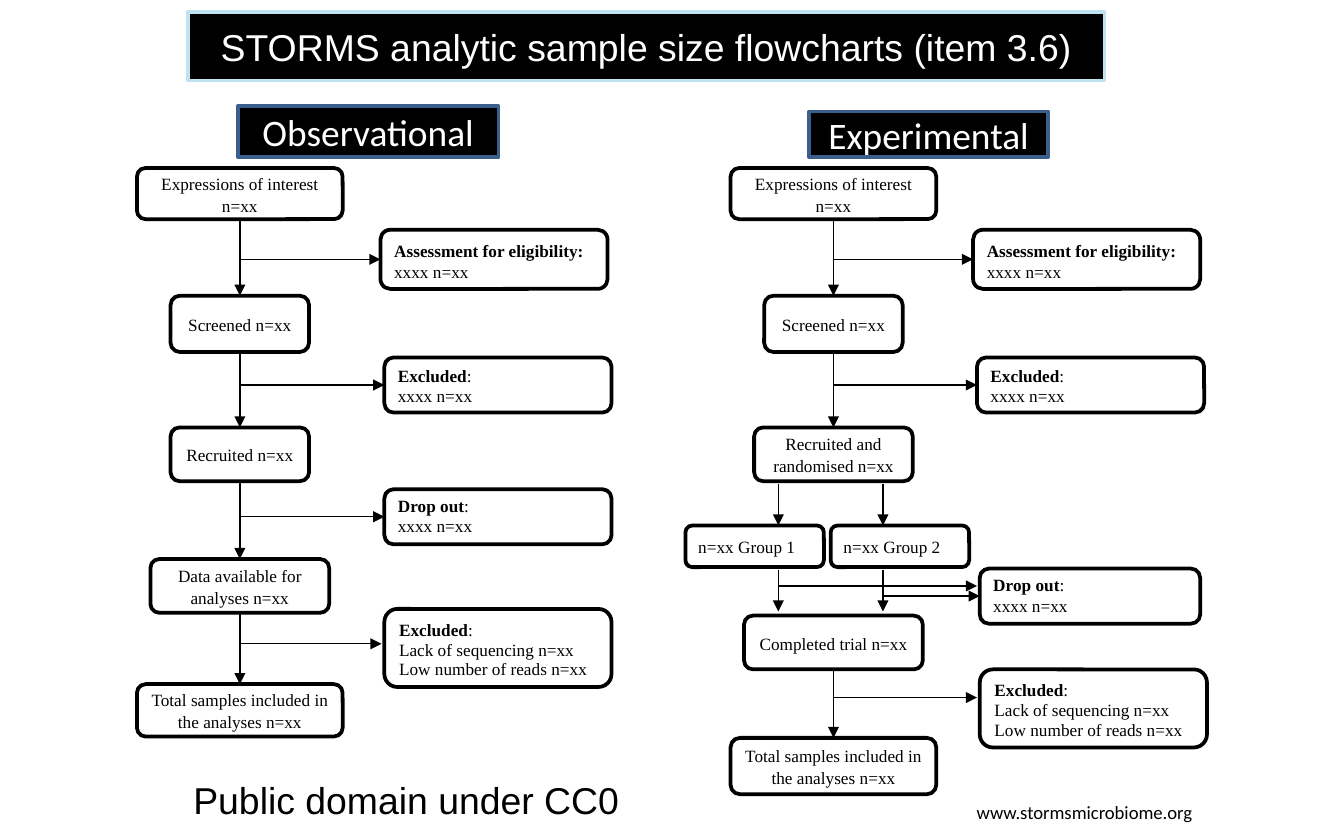
from dataclasses import dataclass
from typing import Optional

from lxml import etree
from pptx import Presentation
from pptx.dml.color import RGBColor
from pptx.enum.shapes import MSO_CONNECTOR, MSO_SHAPE
from pptx.enum.text import MSO_ANCHOR, MSO_AUTO_SIZE, PP_ALIGN
from pptx.oxml.ns import qn
from pptx.util import Pt

ROUNDED = MSO_SHAPE.FLOWCHART_ALTERNATE_PROCESS
RECTANGLE = MSO_SHAPE.RECTANGLE
STRAIGHT = MSO_CONNECTOR.STRAIGHT
MIDDLE, BOTTOM = MSO_ANCHOR.MIDDLE, MSO_ANCHOR.BOTTOM
LEFT, CENTER = PP_ALIGN.LEFT, PP_ALIGN.CENTER
SITE_TOP, SITE_LEFT, SITE_BOTTOM = 0, 1, 2


@dataclass(frozen=True)
class Theme:
    black: RGBColor = RGBColor(0x00, 0x00, 0x00)
    white: RGBColor = RGBColor(0xFF, 0xFF, 0xFF)
    title_edge: RGBColor = RGBColor(0xC1, 0xE2, 0xF1)
    heading_edge: RGBColor = RGBColor(0x3A, 0x5F, 0x8C)
    title_font: str = "Arial"
    heading_font: str = "Calibri"
    box_font: str = "Times New Roman"
    large: float = 20
    small: float = 10
    box_size: float = 9.2
    edge_width: float = 2
    arrow_width: float = 0.75
    inset_x: float = 5.8
    inset_y: float = 2.9


THEME = Theme()


@dataclass(frozen=True)
class Step:
    text: str
    top: float
    width: float
    height: float


@dataclass(frozen=True)
class Note:
    title: str
    mark: str
    lines: tuple
    left: float
    top: float
    width: float
    height: float
    spacings: tuple = (0.5, 0.5, 0.5)
    gap: float = 5
    branch_y: Optional[float] = None  # None joins the middle of the left side


def add_span(para, text: str, font: str, size: float, color, bold: bool = False) -> None:
    span = para.add_run()
    span.text = text
    span.font.name, span.font.size = font, Pt(size)
    span.font.color.rgb, span.font.bold = color, bold


def paint(box, fill, edge) -> None:
    box.fill.solid()
    box.fill.fore_color.rgb = fill
    box.line.color.rgb = edge
    box.line.width = Pt(THEME.edge_width)


def add_box(page, kind, left: float, top: float, width: float, height: float,
            fill, edge, anchor=MIDDLE):
    box = page.shapes.add_shape(kind, Pt(left), Pt(top), Pt(width), Pt(height))
    box.shadow.inherit = False
    paint(box, fill, edge)
    box.text_frame.word_wrap = True
    box.text_frame.vertical_anchor = anchor
    return box


def add_flow_box(page, left: float, top: float, width: float, height: float, anchor=MIDDLE):
    box = add_box(page, ROUNDED, left, top, width, height, THEME.white, THEME.black, anchor)
    frame = box.text_frame
    frame.margin_left = frame.margin_right = Pt(THEME.inset_x)
    frame.margin_top = frame.margin_bottom = Pt(THEME.inset_y)
    return box


def add_step(page, step: Step, center: float, align=CENTER):
    box = add_flow_box(page, center - step.width / 2, step.top, step.width, step.height)
    para = box.text_frame.paragraphs[0]
    para.alignment, para.line_spacing = align, 1.07
    add_span(para, step.text, THEME.box_font, THEME.box_size, THEME.black)
    return box


def add_arrow(page, x1: float, y1: float, x2: float, y2: float):
    arrow = page.shapes.add_connector(STRAIGHT, Pt(x1), Pt(y1), Pt(x2), Pt(y2))
    arrow.line.color.rgb = THEME.black
    arrow.line.width = Pt(THEME.arrow_width)
    etree.SubElement(arrow.line._get_or_add_ln(), qn("a:tailEnd"), type="triangle")
    etree.SubElement(arrow._element.spPr, qn("a:effectLst"))
    return arrow


def add_note(page, note: Note, spine: float) -> None:
    box = add_flow_box(page, note.left, note.top, note.width, note.height, BOTTOM)
    frame = box.text_frame
    for index, text in enumerate((note.title,) + note.lines):
        para = frame.add_paragraph() if index else frame.paragraphs[0]
        para.alignment, para.line_spacing = LEFT, note.spacings[index]
        para.space_before = Pt(note.gap if index else 0)
        add_span(para, text, THEME.box_font, THEME.box_size, THEME.black, index == 0)
        if index == 0 and note.mark:
            add_span(para, note.mark, THEME.box_font, THEME.box_size, THEME.black)
    # Branch from the spine to the note
    y = note.branch_y or note.top + note.height / 2
    arrow = add_arrow(page, spine, y, note.left - 1.5, y)
    if note.branch_y is None:
        arrow.end_connect(box, SITE_LEFT)


def join_steps(page, upper, lower) -> None:
    arrow = add_arrow(page, 0, 0, 1, 1)
    arrow.begin_connect(upper, SITE_BOTTOM)
    arrow.end_connect(lower, SITE_TOP)


def add_chain(page, steps: list, center: float) -> None:
    boxes = [add_step(page, step, center) for step in steps]
    for upper, lower in zip(boxes, boxes[1:]):
        join_steps(page, upper, lower)


def add_heading(page, text: str, left: float, top: float, width: float, height: float) -> None:
    box = add_box(page, RECTANGLE, left, top, width, height, THEME.black, THEME.heading_edge)
    para = box.text_frame.paragraphs[0]
    para.alignment = CENTER
    add_span(para, text, THEME.heading_font, THEME.large, THEME.white)


def add_caption(page, text: str, left: float, top: float, width: float, height: float,
                font: str, size: float) -> None:
    box = page.shapes.add_textbox(Pt(left), Pt(top), Pt(width), Pt(height))
    box.text_frame.word_wrap = False
    box.text_frame.auto_size = MSO_AUTO_SIZE.SHAPE_TO_FIT_TEXT
    add_span(box.text_frame.paragraphs[0], text, font, size, THEME.black)


def add_title(page, text: str) -> None:
    title = page.shapes.title
    title.left, title.top, title.width, title.height = Pt(100.8), Pt(6.5), Pt(491), Pt(36.7)
    outline = etree.SubElement(title._element.spPr, qn("a:prstGeom"), prst="roundRect")
    etree.SubElement(outline, qn("a:avLst"))
    paint(title, THEME.black, THEME.title_edge)
    frame = title.text_frame
    frame.auto_size, frame.vertical_anchor = MSO_AUTO_SIZE.NONE, MIDDLE
    frame.paragraphs[0].alignment = CENTER
    add_span(frame.paragraphs[0], text, THEME.title_font, THEME.large, THEME.white)


# Content shared by both flowcharts
INTEREST = Step("Expressions of interest n=xx", 90, 110.2, 27.4)
SCREENED = Step("Screened n=xx", 158.4, 74.2, 30.2)
TOTAL = "Total samples included in the analyses n=xx"
COUNT = ("xxxx n=xx",)
LOSSES = ("Lack of sequencing n=xx", "Low number of reads n=xx")
OBSERVATIONAL_X, EXPERIMENTAL_X = 128.5, 446.5
SHIFT = 317.5


def add_screening_notes(page, spine: float, shift: float) -> None:
    add_note(page, Note("Assessment for eligibility:", "", COUNT, 203.8 + shift, 123.1,
                        121.7, 31.7, spacings=(1.07, 0.5)), spine)
    add_note(page, Note("Excluded", ":", COUNT, 205.9 + shift, 191.5, 121.7, 29.5), spine)


def add_observational(page) -> None:
    add_heading(page, "Observational", 127.4, 56.9, 139.7, 27.4)
    add_chain(page, [INTEREST, SCREENED,
                     Step("Recruited n=xx", 229, 74.2, 28.8),
                     Step("Data available for analyses n=xx", 299.5, 95.8, 28.8),
                     Step(TOTAL, 366.5, 110.2, 28.1)], OBSERVATIONAL_X)
    add_screening_notes(page, OBSERVATIONAL_X, 0)
    add_note(page, Note("Drop out", ":", COUNT, 205.9, 262.1, 121.7, 29.5, (1, 1), 0),
             OBSERVATIONAL_X)
    add_note(page, Note("Excluded", ":", LOSSES, 205.9, 326.2, 121.7, 41.8, branch_y=344.9),
             OBSERVATIONAL_X)


def add_experimental(page) -> None:
    add_heading(page, "Experimental", 433.4, 59.8, 128.2, 24.5)
    add_chain(page, [INTEREST, SCREENED,
                     Step("Recruited and randomised n=xx", 229, 85, 28.8)], EXPERIMENTAL_X)
    add_chain(page, [Step("Completed trial n=xx", 329.8, 95.8, 28.8),
                     Step(TOTAL, 395.3, 110.2, 30.2)], EXPERIMENTAL_X)
    add_screening_notes(page, EXPERIMENTAL_X, SHIFT)
    # Two trial groups, each with an arrow in and an arrow out
    lanes = (417, 473)
    for number, (center, lane) in enumerate(zip((404.3, 482.1), lanes), start=1):
        add_step(page, Step(f"n=xx Group {number}", 281.5, 74.2, 22.3), center, LEFT)
        for top in (259.2, 305.3):
            add_arrow(page, lane, top, lane, top + 22.3)
    add_note(page, Note("Drop out", ":", COUNT, 524.9, 304.6, 118.1, 29.5, (1, 1), 0), lanes[1])
    add_arrow(page, lanes[0], 313.9, 523.4, 313.9)
    add_note(page, Note("Excluded", ":", LOSSES, 524.9, 358.6, 121.7, 41.8, branch_y=373.7),
             EXPERIMENTAL_X)


def main() -> None:
    deck = Presentation()
    deck.slide_width, deck.slide_height = Pt(720), Pt(450)
    page = deck.slides.add_slide(deck.slide_layouts.get_by_name("Title Only"))
    add_title(page, "STORMS analytic sample size flowcharts (item 3.6)")
    add_observational(page)
    add_experimental(page)
    # Footer captions
    add_caption(page, "www.stormsmicrobiome.org", 516.2, 425.5, 132.5, 19.4,
                THEME.heading_font, THEME.small)
    add_caption(page, "Public domain under CC0", 96.5, 412.6, 244.8, 31.7,
                THEME.title_font, THEME.large)
    deck.save("out.pptx")


if __name__ == "__main__":
    main()
